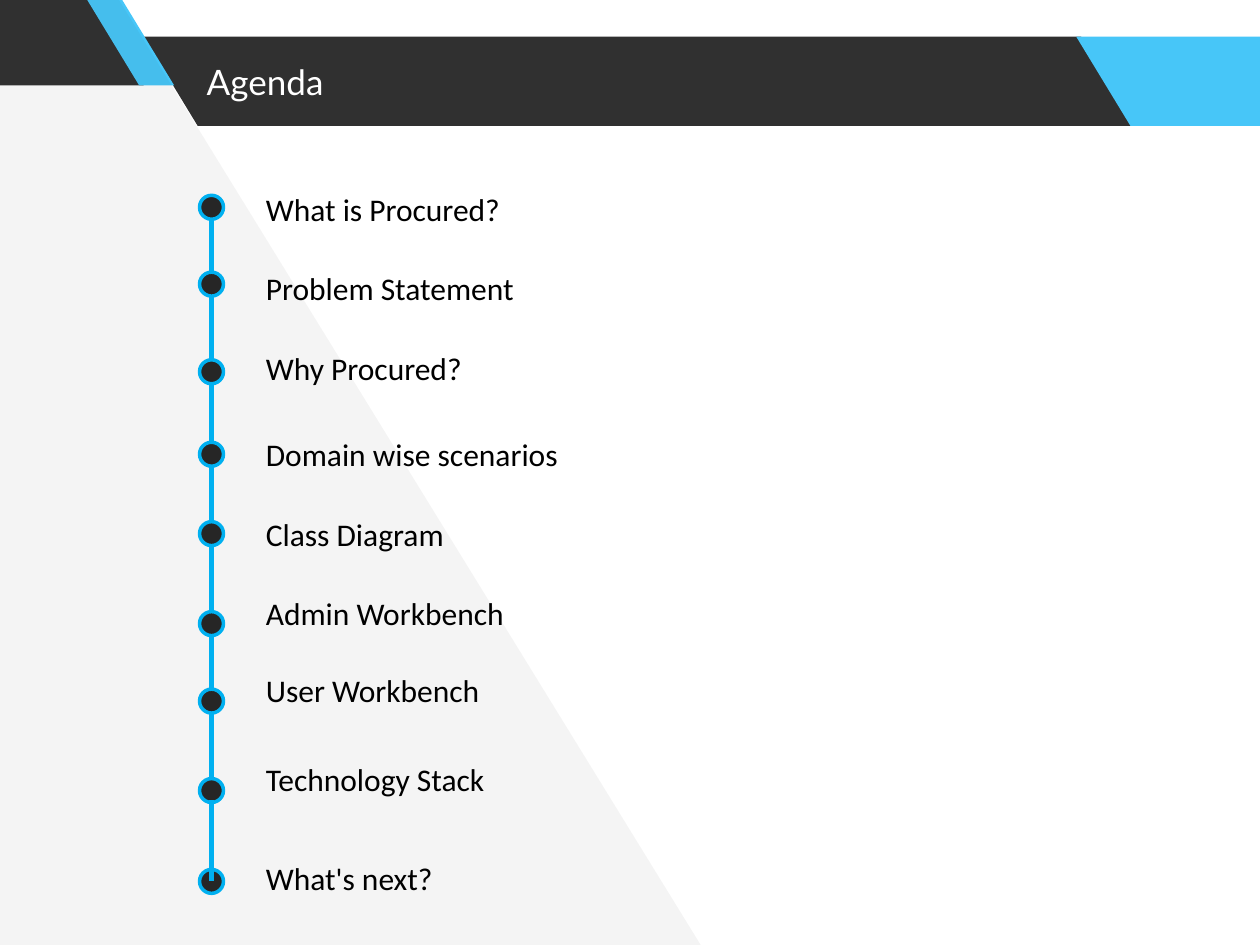
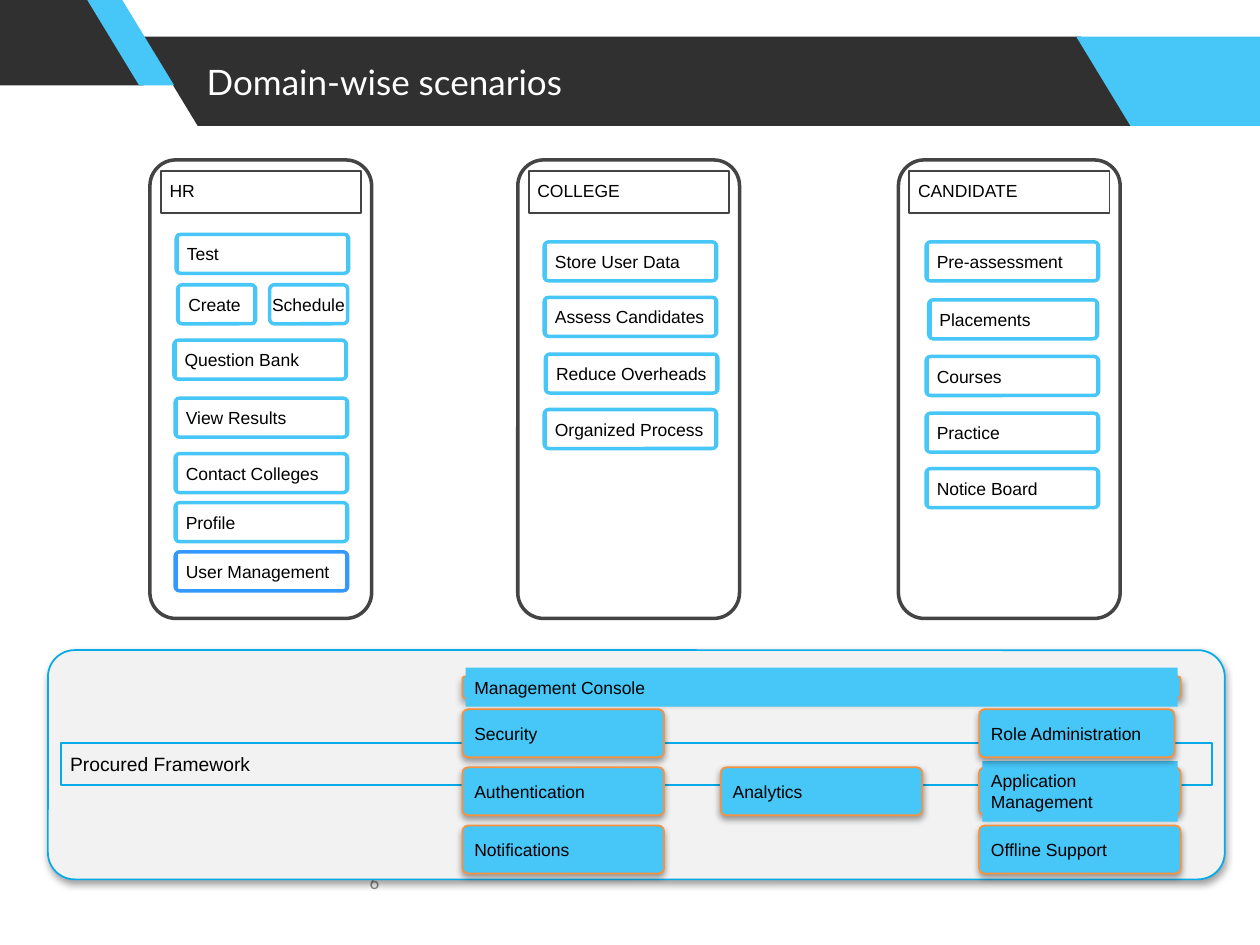
from lxml import etree
from pptx import Presentation
from pptx.dml.color import RGBColor
from pptx.enum.shapes import MSO_CONNECTOR, MSO_SHAPE
from pptx.enum.text import MSO_ANCHOR, MSO_AUTO_SIZE, PP_ALIGN
from pptx.oxml.ns import qn
from pptx.util import Pt

PARALLELOGRAM, TRIANGLE = MSO_SHAPE.PARALLELOGRAM, MSO_SHAPE.RIGHT_TRIANGLE
RECT, ROUND, OVAL = MSO_SHAPE.RECTANGLE, MSO_SHAPE.ROUNDED_RECTANGLE, MSO_SHAPE.OVAL
STRAIGHT = MSO_CONNECTOR.STRAIGHT
TOP, MIDDLE = MSO_ANCHOR.TOP, MSO_ANCHOR.MIDDLE
LEFT, RIGHT = PP_ALIGN.LEFT, PP_ALIGN.RIGHT
NO_FIT = MSO_AUTO_SIZE.NONE

DARK, SKY, WHITE, BLACK = "303030", "47C6F8", "FFFFFF", "000000"
SPINE, DOT, FRAME = "00B0F0", "262626", "444444"
PANEL, PANEL_LINE, ORANGE, BLUE = "F2F2F2", "06AAE8", "F69240", "3399FF"
GREY = "888888"

TITLE_BOX = (110.9, 31, 516.2, 31.7)
BANDS = [
    ((82, 21, 566.8, 51), DARK),
    ((-65.5, -2.2, 147.6, 51), DARK),
    ((48.5, -2.2, 51, 51), SKY),
    ((615, 21, 147.6, 51), SKY),
]

LINE_HEIGHT = 21.97
AGENDA = [
    ("What is Procured?", 0, 6.5),
    ("Problem Statement", 45.4, 50.4),
    ("Why Procured?", 91.5, 100.5),
    ("Domain wise scenarios", 141.1, 147.6),
    ("Class Diagram", 187.2, 193),
    ("Admin Workbench", 232.6, 244.4),
    ("User Workbench", 277.2, 288.7),
    ("Technology Stack", 328.3, 339.8),
    ("What's next?", 385.2, 391.7),
]

CHIP_W, CHIP_H = 98.6, 22.3
COLUMNS = [
    ("HR", 85.7, [
        ("Test", 15, 42.5, {}),
        ("Create", 15.8, 71.3, {"w": 44.6}),
        ("Schedule", 68.4, 71.3, {"w": 44.6, "inset": -3.6, "label_line": None, "wrap": False}),
        ("Contact Colleges", 14.4, 167.8, {}),
        ("Question Bank", 13.7, 103, {}),
        ("Profile", 14.4, 195.8, {}),
        ("User Management", 14.4, 223.9, {"line": BLUE, "label_line": BLUE}),
        ("View Results", 14.4, 136.1, {}),
    ]),
    ("COLLEGE", 295.9, [
        ("Store User Data", 15.1, 46.8, {}),
        ("Organized Process", 15.1, 142.6, {}),
        ("Assess Candidates", 15.1, 78.5, {}),
        ("Reduce Overheads", 15.8, 110.9, {}),
    ]),
    ("CANDIDATE", 513.4, [
        ("Pre-assessment", 15.8, 46.8, {}),
        ("Placements", 17.3, 79.9, {"w": 96.5}),
        ("Notice Board", 15.8, 176.4, {}),
        ("Courses", 15.8, 112.3, {}),
        ("Practice", 15.8, 144.7, {}),
    ]),
]

BLOCK_W, BLOCK_H = 115.2, 27.4
BLOCK_X = (236.9, 384.5, 532.1)
BLOCK_Y = (33.8, 67, 100.2)
BLOCKS = [
    ("Application Management", 2, 1, BLOCK_W, 34.6),
    ("Security", 0, 0, BLOCK_W, CHIP_H),
    ("Role Administration", 2, 0, 111.6, CHIP_H),
    ("Authentication", 0, 1, BLOCK_W, CHIP_H),
    ("Analytics", 1, 1, BLOCK_W, CHIP_H),
    ("Offline Support", 2, 2, BLOCK_W, CHIP_H),
    ("Notifications", 0, 2, BLOCK_W, CHIP_H),
]


def color(value):
    """Turn a hex string into a colour."""
    return RGBColor.from_string(value)


def place(shape, box):
    """Move and size a shape in points."""
    shape.left, shape.top, shape.width, shape.height = map(Pt, box)


def write(shape, text, size=10, font="Arial", fill=BLACK, align=LEFT,
          anchor=MIDDLE, margins=(5, 5), wrap=True, gaps=()):
    """Put formatted lines of text into a shape."""
    tf = shape.text_frame
    tf.text = text
    tf.word_wrap = wrap
    tf.auto_size = NO_FIT
    tf.vertical_anchor = anchor
    tf.margin_left = tf.margin_right = Pt(margins[0])
    tf.margin_top = tf.margin_bottom = Pt(margins[1])
    for i, p in enumerate(tf.paragraphs):
        p.alignment = align
        p.space_before = Pt(gaps[i] if gaps else 0)
        p.font.size = Pt(size)
        p.font.name = font
        p.font.color.rgb = color(fill)


def add_shape(s, kind, box, fill=None, line=None, width=1, adj=None, shadow=False):
    """Add a preset shape with plain fill, line and optional drop shadow."""
    sp = s.shapes.add_shape(kind, *map(Pt, box))
    sp.shadow.inherit = False
    if fill:
        sp.fill.solid()
        sp.fill.fore_color.rgb = color(fill)
    else:
        sp.fill.background()
    if line:
        sp.line.color.rgb = color(line)
        sp.line.width = Pt(width)
    else:
        sp.line.fill.background()
    if adj is not None:
        sp.adjustments[0] = adj
    if shadow:
        effects = sp._element.spPr.find(qn("a:effectLst"))
        outer = etree.SubElement(effects, qn("a:outerShdw"), blurRad=str(Pt(4)),
                                 dist=str(Pt(2)), dir="5400000", rotWithShape="0")
        rgb = etree.SubElement(outer, qn("a:srgbClr"), val=BLACK)
        etree.SubElement(rgb, qn("a:alpha"), val="38000")
    return sp


def add_line(s, x, y1, y2):
    """Add a vertical stretch of the agenda spine."""
    line = s.shapes.add_connector(STRAIGHT, Pt(x), Pt(y1), Pt(x), Pt(y2))
    line.line.color.rgb = color(SPINE)
    line.line.width = Pt(3)
    etree.SubElement(line._element.spPr, qn("a:effectLst"))


def add_header(s, text):
    """Draw the slanted bands and set the title over them."""
    for box, fill in BANDS:
        band = add_shape(s, PARALLELOGRAM, box, fill, adj=0.608)
        band._element.spPr.xfrm.set("flipV", "1")
    title = s.shapes.title
    place(title, TITLE_BOX)
    write(title, text, size=20, font="Lato", fill=WHITE, anchor=TOP, margins=(7.2, 3.6))
    s.shapes._spTree.append(title._element)


def add_backdrop(s, box):
    """Draw the pale see-through triangle."""
    sp = add_shape(s, TRIANGLE, box, DARK)
    rgb = sp._element.spPr.find(qn("a:solidFill"))[0]
    etree.SubElement(rgb, qn("a:alpha"), val="5000")


def add_agenda(s, box):
    """Draw the spine with its dots and fill the list beside it."""
    x, y, w, h = box
    spine_x = x - 23.8
    add_line(s, spine_x, y + 346.3, y + 147)
    add_line(s, spine_x, y + 183.6, y + 11.5)
    for _, _, dot_y in AGENDA:
        add_shape(s, OVAL, (spine_x - 6.9, y + dot_y, 13.7, 13.7), DOT, SPINE, 2)
    add_line(s, spine_x, y + 398.2, y + 352.1)
    body = s.placeholders[1]
    place(body, box)
    tops = [top for _, top, _ in AGENDA]
    gaps = [0] + [b - a - LINE_HEIGHT for a, b in zip(tops, tops[1:])]
    write(body, "\n".join(text for text, _, _ in AGENDA), size=18, font="Calibri",
          anchor=TOP, margins=(7.2, 3.6), gaps=gaps)
    for p in body.text_frame.paragraphs:
        props = p._p.get_or_add_pPr()
        props.set("marL", "0")
        props.set("indent", "0")
        props.insert_element_before(props.makeelement(qn("a:buNone"), {}),
                                    "a:tabLst", "a:defRPr", "a:extLst")
    s.shapes._spTree.append(body._element)


def add_chip(s, text, x, y, w=CHIP_W, inset=1.1, line=SKY, label_line=SKY, wrap=True):
    """Draw a white rounded chip with an outlined label."""
    add_shape(s, ROUND, (x, y, w, CHIP_H), WHITE, line, 2, adj=0.117)
    label = add_shape(s, RECT, (x + inset, y, w - 2 * inset, CHIP_H), line=label_line)
    write(label, text, wrap=wrap)


def add_column(s, box, heading, chips):
    """Draw one user's column with its heading and chips."""
    x, y, w, h = box
    add_shape(s, ROUND, box, WHITE, FRAME, 2, adj=0.117)
    write(add_shape(s, RECT, (x + 6.2, y + 6.5, 114.5, 23.8), line=FRAME), heading, anchor=TOP)
    for text, dx, dy, options in chips:
        add_chip(s, text, x + dx, y + dy, **options)


def add_block(s, text, box, label_h):
    """Draw a shadowed block with a flat label centred on it."""
    x, y, w, h = box
    add_shape(s, ROUND, box, SKY, ORANGE, adj=0.117, shadow=True)
    label = add_shape(s, RECT, (x + 1.8, y + (h - label_h) / 2, w - 3.6, label_h), SKY)
    write(label, text)


def add_framework(s, box):
    """Draw the framework panel with its console and blocks."""
    x, y, w, h = box
    add_shape(s, ROUND, box, PANEL, PANEL_LINE, adj=0.117, shadow=True)
    strip = add_shape(s, RECT, (x + 7.7, y + 53.3, 657.4, 23.8), line=PANEL_LINE)
    write(strip, "Procured Framework", size=11)
    for text, col, row, block_w, label_h in BLOCKS:
        add_block(s, text, (x + BLOCK_X[col], y + BLOCK_Y[row], block_w, BLOCK_H), label_h)
    add_block(s, "Management Console", (x + BLOCK_X[0], y + 15.1, 410.4, 12.2), CHIP_H)


def agenda_slide(prs):
    """Build the agenda."""
    s = prs.slides.add_slide(prs.slide_layouts[1])
    add_header(s, "Agenda")
    add_backdrop(s, (-2.9, -115.2, 499, 810.7))
    add_agenda(s, (144.7, 105.1, 465.1, 414))


def scenarios_slide(prs):
    """Build the scenarios of each user above the framework."""
    s = prs.slides.add_slide(prs.slide_layouts[5])
    number = s.shapes.add_textbox(Pt(54), Pt(493.2), Pt(167.8), Pt(20.9))
    write(number, "6", size=11, font="Calibri", fill=GREY, align=RIGHT, margins=(5, 2.9))
    for heading, x, chips in COLUMNS:
        add_column(s, (x, 91.4, 126.7, 262), heading, chips)
    add_framework(s, (27.4, 371.5, 672.5, 131))
    add_header(s, "Domain-wise scenarios")


def main():
    """Build and save the slides."""
    prs = Presentation()
    prs.slide_width, prs.slide_height = Pt(720), Pt(540)
    agenda_slide(prs)
    scenarios_slide(prs)
    prs.save("out.pptx")


if __name__ == "__main__":
    main()
